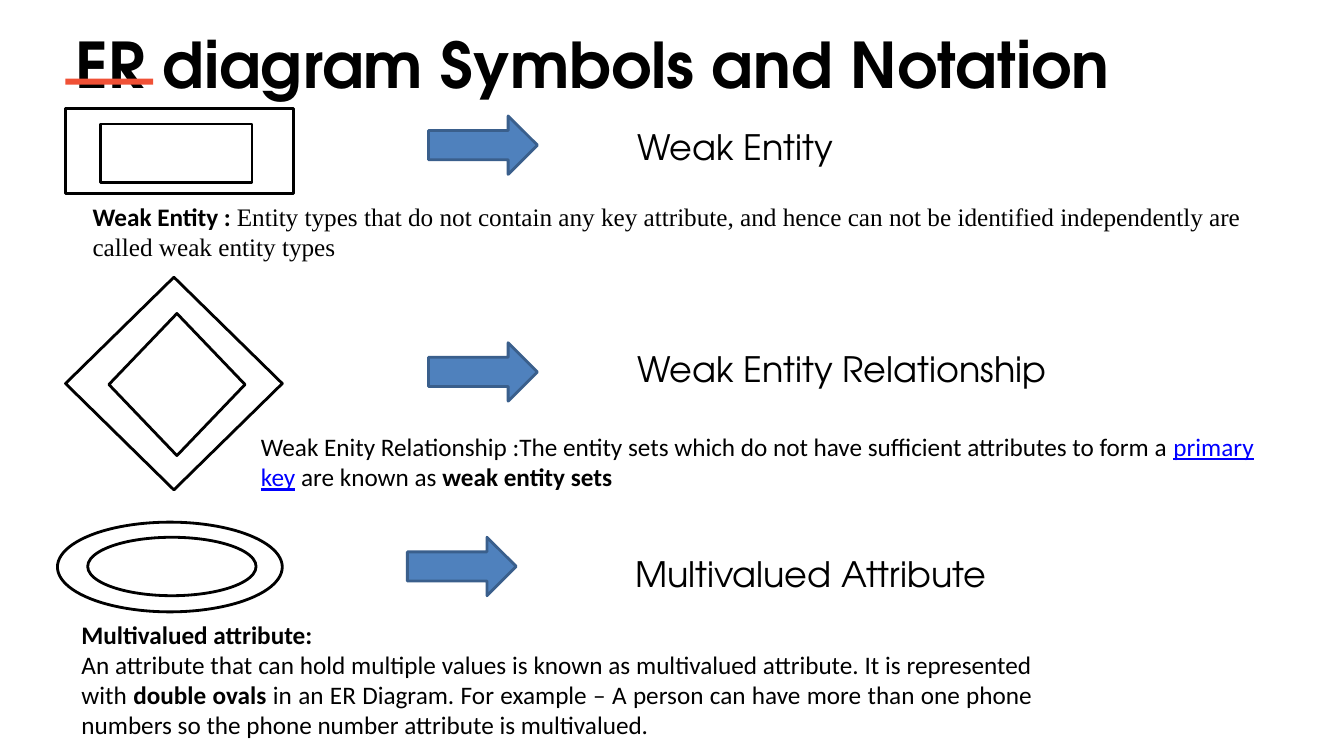
from pptx import Presentation
from pptx.dml.color import RGBColor
from pptx.enum.shapes import MSO_SHAPE
from pptx.enum.text import MSO_ANCHOR, PP_ALIGN
from pptx.util import Inches, Pt

RECTANGLE, ELLIPSE = MSO_SHAPE.RECTANGLE, MSO_SHAPE.OVAL
DIAMOND, ARROW = MSO_SHAPE.FLOWCHART_DECISION, MSO_SHAPE.RIGHT_ARROW
TOP, LEFT, JUSTIFY = MSO_ANCHOR.TOP, PP_ALIGN.LEFT, PP_ALIGN.JUSTIFY

COLORS = {"text": "000000", "paper": "FFFFFF", "accent": "F05136",
          "arrow": "4F81BD", "arrow_edge": "3A5F8C", "term": "0000FF"}
HEADING_FONT = "TeX Gyre Adventor"
HEADING = {"name": HEADING_FONT, "size": Pt(45), "bold": True}
LABEL = {"name": HEADING_FONT, "size": Pt(25)}
BODY = {"name": "Calibri", "size": Pt(18)}
BOLD = {**BODY, "bold": True}
SERIF = {**BODY, "name": "Times New Roman"}
TERM = {**BODY, "underline": True, "color": "term"}

TITLE = "ER diagram Symbols and Notation"
TITLE_BOX = (0.65, 0.2, 12.18, 0.86)
ACCENT_BOX = (0.65, 0.78, 0.87, 0.06)
ARROW_SIZE = (1.08, 0.58)

# Each symbol is a pair of nested outlines; boxes are left, top, width, height.
NOTATION = [
    {"shape": RECTANGLE,
     "outlines": [(0.65, 1.08, 2.26, 0.84), (1, 1.23, 1.5, 0.58)],
     "arrow": (4.25, 1.15),
     "label": "Weak Entity", "label_box": (6.22, 1.2, 2.39, 0.52),
     "note_box": (0.82, 1.95, 11.93, 0.71),
     "note": [(LEFT, [
         ("Weak Entity : ", BOLD),
         ("Entity types that do not contain any key attribute, and hence can "
          "not be identified independently are called weak entity types", SERIF)])]},
    {"shape": DIAMOND,
     "outlines": [(0.65, 2.75, 2.15, 2.11), (1.08, 3.11, 1.35, 1.41)],
     "arrow": (4.25, 3.4),
     "label": "Weak Entity Relationship", "label_box": (6.22, 3.4, 4.36, 0.52),
     "note_box": (2.49, 4.23, 10.37, 0.71),
     "note": [(LEFT, [
         ("Weak Enity Relationship :The entity sets which do not have "
          "sufficient attributes to form a ", BODY),
         ("primary key", TERM),
         (" are known as ", BODY),
         ("weak entity sets", BOLD)])]},
    {"shape": ELLIPSE,
     "outlines": [(0.57, 5.18, 2.23, 0.89), (0.87, 5.33, 1.67, 0.58)],
     "arrow": (4.04, 5.33),
     "label": "Multivalued Attribute", "label_box": (6.2, 5.43, 3.9, 0.52),
     "note_box": (0.71, 6.09, 9.63, 1.31),
     "note": [
         (LEFT, [("Multivalued attribute:", BOLD)]),
         (JUSTIFY, [
             ("An attribute that can hold multiple values is known as "
              "multivalued attribute. It is represented with ", BODY),
             ("double ovals", BOLD),
             (" in an ER Diagram. For example – A person can have more than one "
              "phone numbers so the phone number attribute is multivalued.", BODY)])]},
]


def rgb(name):
    return RGBColor.from_string(COLORS[name])


def inches(box):
    return [Inches(length) for length in box]


def add_figure(slide, kind, box, fill, edge=None):
    figure = slide.shapes.add_shape(kind, *inches(box))
    figure.shadow.inherit = False
    figure.fill.solid()
    figure.fill.fore_color.rgb = rgb(fill)
    if edge:
        figure.line.color.rgb = rgb(edge)
        figure.line.width = Pt(2)
    else:
        figure.line.fill.background()


def write(frame, paragraphs):
    """Fill a text frame from (alignment, [(text, format), ...]) pairs."""
    frame.word_wrap = True
    frame.vertical_anchor = TOP
    for index, (alignment, spans) in enumerate(paragraphs):
        para = frame.add_paragraph() if index else frame.paragraphs[0]
        para.alignment = alignment
        for text, style in spans:
            span = para.add_run()
            span.text = text
            span.font.color.rgb = rgb(style.get("color", "text"))
            for key, value in style.items():
                if key != "color":
                    setattr(span.font, key, value)


def add_text(slide, box, paragraphs):
    write(slide.shapes.add_textbox(*inches(box)).text_frame, paragraphs)


def main():
    deck = Presentation()
    deck.slide_width, deck.slide_height = Inches(13.33), Inches(7.5)
    slide = deck.slides.add_slide(deck.slide_layouts[5])

    title = slide.shapes.title
    title.left, title.top, title.width, title.height = inches(TITLE_BOX)
    write(title.text_frame, [(LEFT, [(TITLE, HEADING)])])
    add_figure(slide, RECTANGLE, ACCENT_BOX, "accent")

    for entry in NOTATION:
        for outline in entry["outlines"]:
            add_figure(slide, entry["shape"], outline, "paper", "text")
        add_figure(slide, ARROW, entry["arrow"] + ARROW_SIZE, "arrow", "arrow_edge")
        add_text(slide, entry["label_box"], [(LEFT, [(entry["label"], LABEL)])])
        add_text(slide, entry["note_box"], entry["note"])

    deck.save("out.pptx")


if __name__ == "__main__":
    main()
